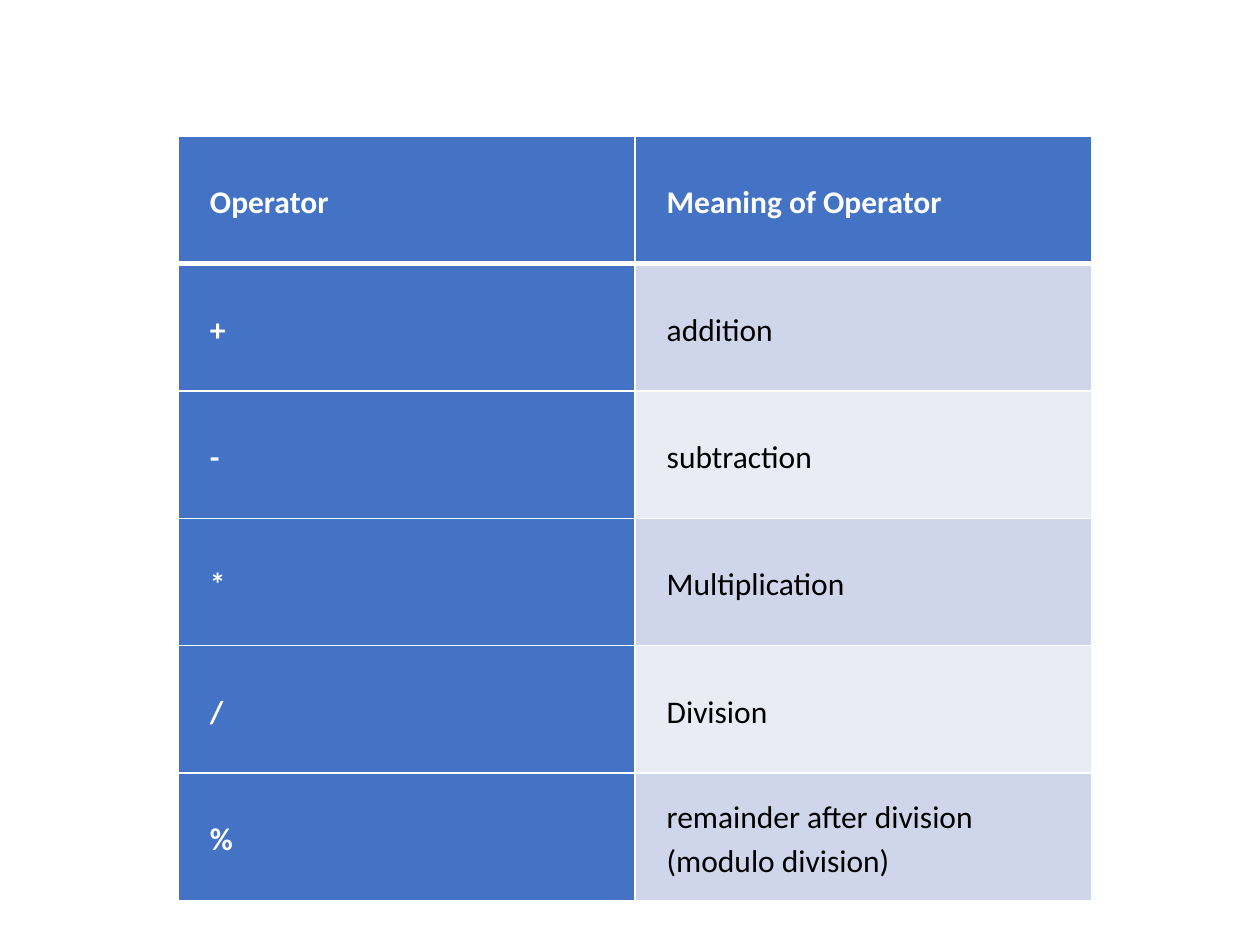
from lxml.etree import SubElement
from pptx import Presentation
from pptx.dml.color import RGBColor
from pptx.enum.text import MSO_ANCHOR
from pptx.oxml.ns import qn
from pptx.util import Emu, Pt

EMU_PER_PX = 9525
WHITE = RGBColor(0xFF, 0xFF, 0xFF)
BLACK = RGBColor(0x00, 0x00, 0x00)
BLUE = RGBColor(0x44, 0x72, 0xC4)
BAND_DARK = RGBColor(0xCF, 0xD5, 0xEA)
BAND_LIGHT = RGBColor(0xE9, 0xEB, 0xF5)

COLUMN_WIDTH = 348
ROW_HEIGHT = 97
OPERATORS = [
    ("Operator", "Meaning of Operator"),
    ("+", "addition"),
    ("-", "subtraction"),
    ("*", "Multiplication"),
    ("/", "Division"),
    ("%", "remainder after division (modulo division)"),
]


def px(length):
    return Emu(length * EMU_PER_PX)


def add_border(cell, side, width):
    properties = cell._tc.get_or_add_tcPr()
    line = SubElement(properties, qn(f"a:ln{side}"), w=str(Pt(width)))
    fill = SubElement(line, qn("a:solidFill"))
    SubElement(fill, qn("a:srgbClr"), val=str(WHITE))


def write_cell(cell, text, color, bold):
    cell.vertical_anchor = MSO_ANCHOR.MIDDLE
    cell.margin_left = cell.margin_right = px(24)
    cell.margin_top = cell.margin_bottom = px(12)
    paragraph = cell.text_frame.paragraphs[0]
    paragraph.line_spacing = 1.15
    paragraph.space_after = Pt(10)
    run = paragraph.add_run()
    run.text = text
    run.font.name = "Calibri"
    run.font.size = Pt(18)
    run.font.bold = bold
    run.font.color.rgb = color


def style_cell(cell, fill, row_index):
    widths = {
        "L": 1,
        "R": 1,
        "T": 3 if row_index == 1 else 1,
        "B": 3 if row_index == 0 else 1,
    }
    for side, width in widths.items():
        add_border(cell, side, width)
    cell.fill.solid()
    cell.fill.fore_color.rgb = fill


def add_operator_table(slide, left, top):
    row_count, column_count = len(OPERATORS), len(OPERATORS[0])
    table = slide.shapes.add_table(
        row_count, column_count, px(left), px(top),
        px(column_count * COLUMN_WIDTH), px(row_count * ROW_HEIGHT),
    ).table
    table.first_col = True
    for column in table.columns:
        column.width = px(COLUMN_WIDTH)
    for row_index, texts in enumerate(OPERATORS):
        table.rows[row_index].height = px(ROW_HEIGHT)
        band = BAND_DARK if row_index % 2 else BAND_LIGHT
        for column_index, text in enumerate(texts):
            cell = table.cell(row_index, column_index)
            heading = row_index == 0 or column_index == 0
            write_cell(cell, text, WHITE if heading else BLACK, heading)
            style_cell(cell, BLUE if heading else band, row_index)


def main():
    presentation = Presentation()
    presentation.slide_width = px(960)
    presentation.slide_height = px(720)
    slide = presentation.slides.add_slide(presentation.slide_layouts[6])
    add_operator_table(slide, 136, 104)
    presentation.save("out.pptx")


if __name__ == "__main__":
    main()
